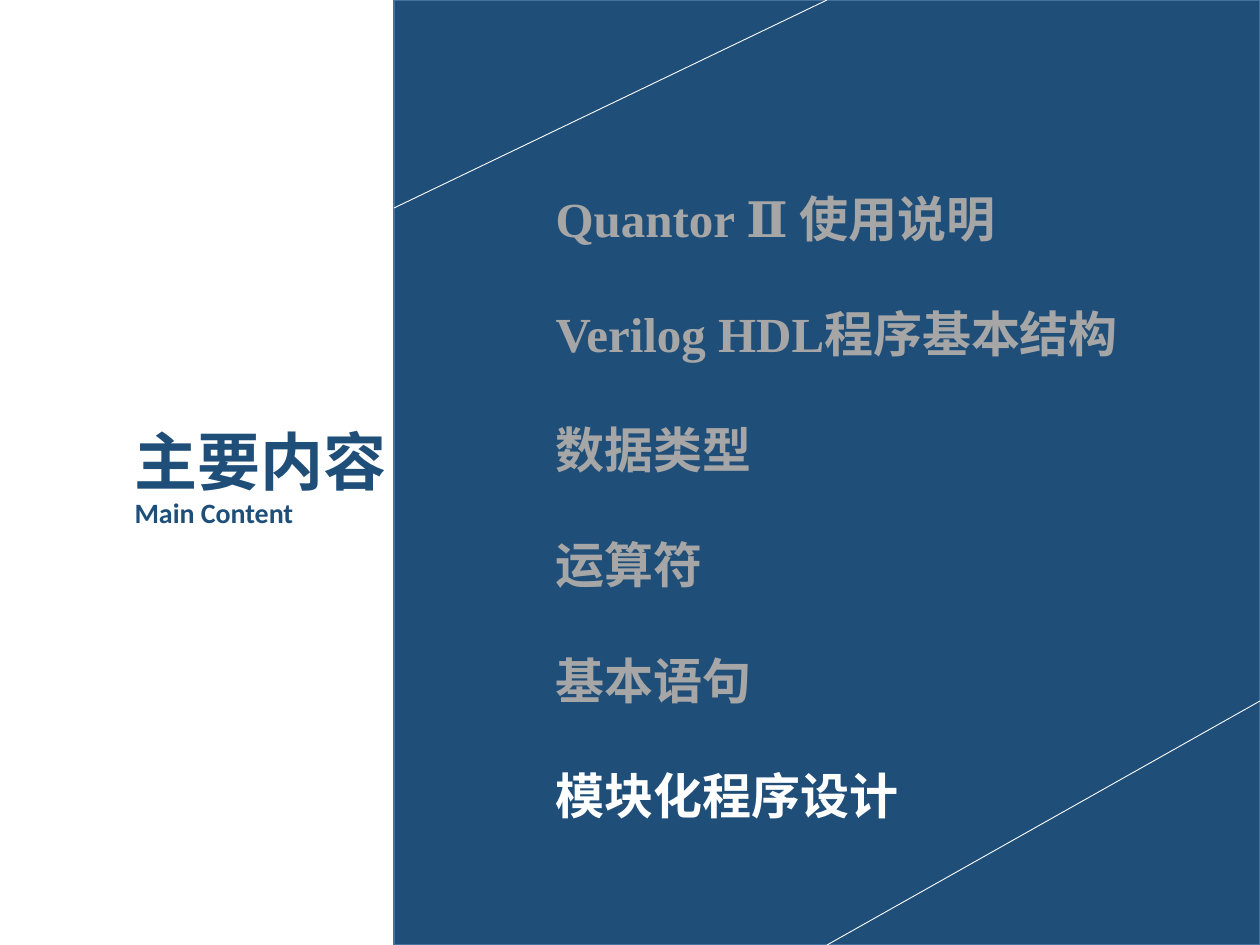
"""Build the agenda slide with the current chapter highlighted."""
from dataclasses import dataclass

from lxml import etree
from pptx import Presentation
from pptx import util as u
from pptx.dml.color import RGBColor
from pptx.enum import shapes, text
from pptx.oxml.ns import qn

TITLE = [("主要内容", "cjk", 36), ("Main Content", "sans", 16)]
CHAPTERS = [
    [("Quantor Ⅱ 使用说明", "serif")],
    [("Verilog HDL", "serif"), ("程序基本结构", "cjk")],
    [("数据类型", "cjk")],
    [("运算符", "cjk")],
    [("基本语句", "cjk")],
    [("模块化程序设计", "cjk")],
]
CURRENT = 5

WIDTH, HEIGHT = 1260, 945
PANEL_LEFT = 394
DIAGONAL_X = 827
DIAGONALS = [
    (DIAGONAL_X, 0, PANEL_LEFT, 208),
    (WIDTH, 701, DIAGONAL_X, HEIGHT),
]
TITLE_BOX = (122, 425, 294, 123)
LIST_BOX = (543, 171, 634, 690)


@dataclass(frozen=True)
class Theme:
    navy: str = "1F4E79"
    edge: str = "43739E"
    muted: str = "A6A6A6"
    white: str = "FFFFFF"
    cjk: str = "Noto Sans CJK SC"
    serif: str = "Times New Roman"
    sans: str = "Calibri"
    item_size: int = 28
    item_line: int = 40
    item_gap: int = 26


THEME = Theme()


def px(n):
    return u.Emu(n * 914400 // 126)


def rgb(value):
    return RGBColor.from_string(value)


def place(sp, box):
    sp.left, sp.top, sp.width, sp.height = map(px, box)
    tf = sp.text_frame
    tf.word_wrap = True
    tf.auto_size = text.MSO_AUTO_SIZE.NONE
    tf.vertical_anchor = text.MSO_ANCHOR.TOP
    return tf


def style(r, face, size, color):
    r.font.name = getattr(THEME, face)
    r.font.size = u.Pt(size)
    r.font.bold = True
    r.font.color.rgb = rgb(color)
    ea = etree.SubElement(r.font._element, qn("a:ea"))
    ea.set("typeface", THEME.cjk)


def add_title(s):
    tf = place(s.shapes.title, TITLE_BOX)
    tf.text = "\v".join(part[0] for part in TITLE)
    p = tf.paragraphs[0]
    p.alignment = text.PP_ALIGN.LEFT
    p.line_spacing = 0.9
    for r, (_, face, size) in zip(p.runs, TITLE):
        style(r, face, size, THEME.navy)


def add_panel(s):
    sp = s.shapes.add_shape(
        shapes.MSO_SHAPE.RECTANGLE,
        *map(px, (PANEL_LEFT, 0, WIDTH - PANEL_LEFT, HEIGHT)),
    )
    sp.shadow.inherit = False
    sp.fill.solid()
    sp.fill.fore_color.rgb = rgb(THEME.navy)
    sp.line.color.rgb = rgb(THEME.edge)
    sp.line.width = u.Pt(1)
    for ends in DIAGONALS:
        line = s.shapes.add_connector(shapes.MSO_CONNECTOR.STRAIGHT, *map(px, ends))
        line.line.color.rgb = rgb(THEME.white)
        line.line.width = u.Pt(0.5)
        etree.SubElement(line._element.spPr, qn("a:effectLst"))


def add_chapters(s):
    body = s.placeholders[1]
    body.element.getparent().append(body.element)
    tf = place(body, LIST_BOX)
    for i, parts in enumerate(CHAPTERS):
        p = tf.add_paragraph() if i else tf.paragraphs[0]
        p.line_spacing = u.Pt(THEME.item_line)
        p.space_before = u.Pt(THEME.item_gap if i else 0)
        pPr = p._p.get_or_add_pPr()
        pPr.set("marL", "0")
        pPr.set("indent", "0")
        etree.SubElement(pPr, qn("a:buNone"))
        for words, face in parts:
            r = p.add_run()
            r.text = words
            color = THEME.white if i == CURRENT else THEME.muted
            style(r, face, THEME.item_size, color)


def main():
    prs = Presentation()
    prs.slide_width, prs.slide_height = px(WIDTH), px(HEIGHT)
    s = prs.slides.add_slide(prs.slide_layouts[1])
    add_title(s)
    add_panel(s)
    add_chapters(s)
    prs.save("out.pptx")


if __name__ == "__main__":
    main()
